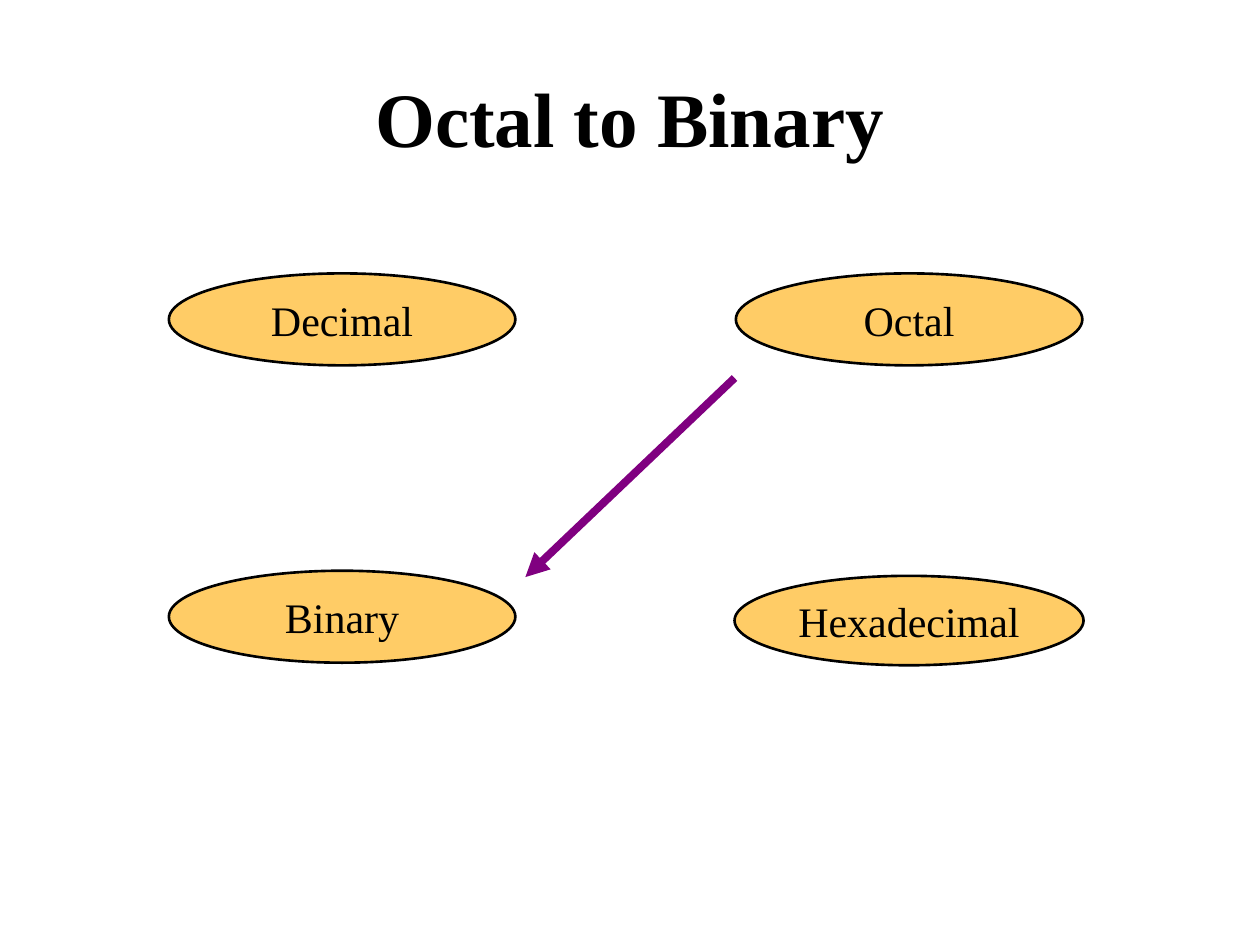
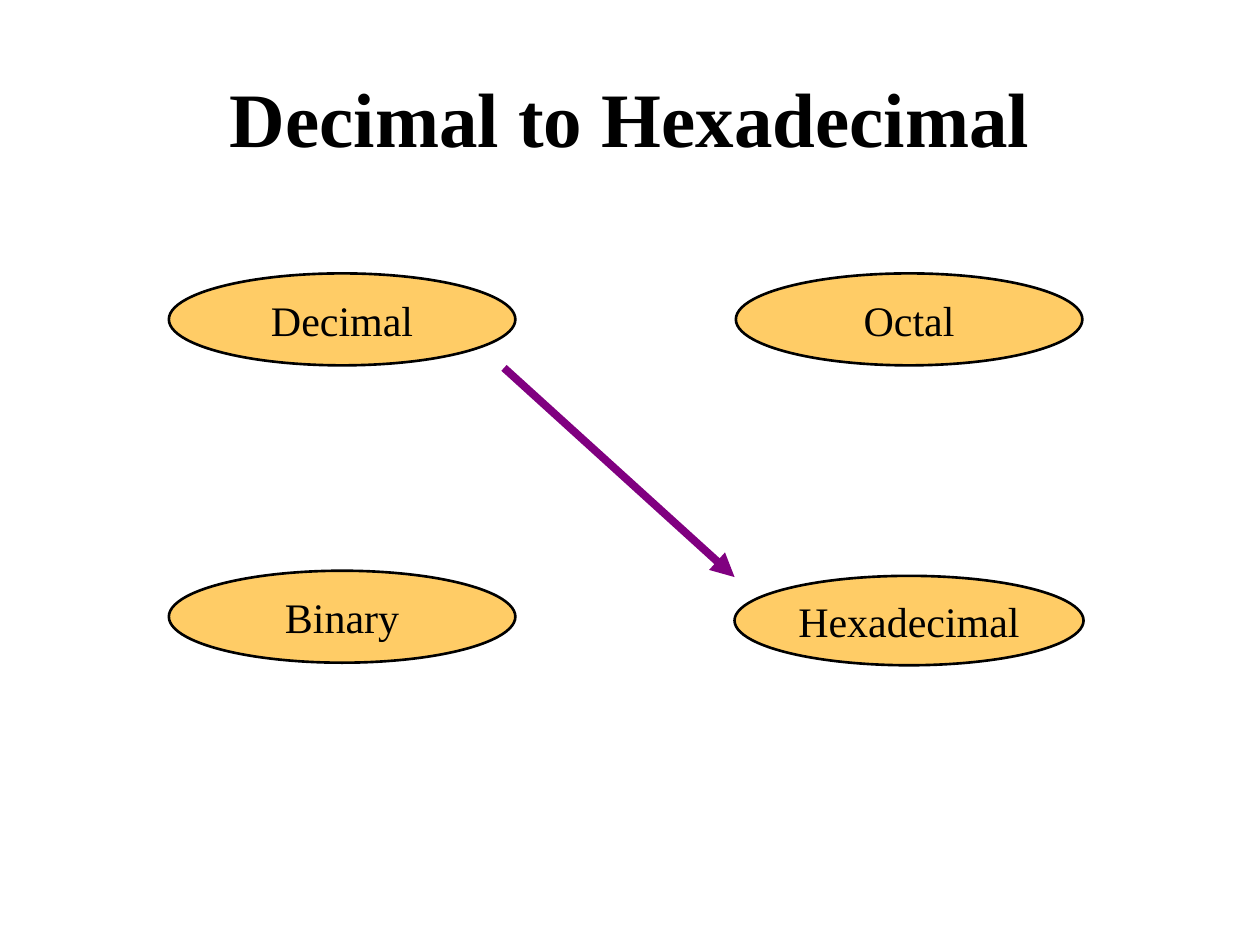
"""Build two slides that show conversions between number systems."""
from lxml.etree import SubElement
from pptx import Presentation
from pptx.dml.color import RGBColor
from pptx.enum.shapes import MSO_CONNECTOR, MSO_SHAPE
from pptx.enum.text import MSO_ANCHOR, PP_ALIGN
from pptx.oxml.ns import qn
from pptx.util import Inches, Pt

CONVERSIONS = [
    {"title": "Octal to Binary", "start": (5.83, 3), "end": (4.17, 4.58)},
    {"title": "Decimal to Hexadecimal", "start": (4, 2.92), "end": (5.83, 4.58)},
]
NUMBER_SYSTEMS = {
    "Hexadecimal": (5.83, 4.57, 2.77, 0.71),
    "Decimal": (1.34, 2.17, 2.75, 0.73),
    "Octal": (5.84, 2.17, 2.75, 0.73),
    "Binary": (1.34, 4.53, 2.75, 0.73),
}
TITLE_BOX = (0.5, 0.3, 9, 1.25)
BLACK, AMBER, PURPLE = "000000", "FFCC66", "800080"
TITLE_FONT = {"name": "Times New Roman", "size": Pt(44), "bold": True}
LABEL_FONT = {"name": "Times New Roman", "size": Pt(24), "bold": False}


def color(hex_value):
    return RGBColor.from_string(hex_value)


def write_text(shape, text, font_format, wrap):
    frame = shape.text_frame
    frame.word_wrap = wrap
    frame.vertical_anchor = MSO_ANCHOR.MIDDLE
    paragraph = frame.paragraphs[0]
    paragraph.alignment = PP_ALIGN.CENTER
    run = paragraph.add_run()
    run.text = text
    for name, value in font_format.items():
        setattr(run.font, name, value)
    run.font.color.rgb = color(BLACK)


def style_line(line, hex_value, width):
    line.color.rgb = color(hex_value)
    line.width = Pt(width)


def add_title(slide, text):
    title = slide.shapes.add_textbox(*map(Inches, TITLE_BOX))
    write_text(title, text, TITLE_FONT, True)


def add_number_system(slide, name, box):
    ellipse = slide.shapes.add_shape(MSO_SHAPE.OVAL, *map(Inches, box))
    ellipse.shadow.inherit = False
    ellipse.fill.solid()
    ellipse.fill.fore_color.rgb = color(AMBER)
    style_line(ellipse.line, BLACK, 1.5)
    write_text(ellipse, name, LABEL_FONT, False)


def add_arrow(slide, start, end):
    arrow = slide.shapes.add_connector(
        MSO_CONNECTOR.STRAIGHT, *map(Inches, start + end))
    style_line(arrow.line, PURPLE, 4.5)
    properties = arrow.element.spPr
    SubElement(properties.find(qn("a:ln")), qn("a:tailEnd"), type="triangle")
    SubElement(properties, qn("a:effectLst"))


def main():
    presentation = Presentation()
    presentation.slide_width = Inches(10)
    presentation.slide_height = Inches(7.5)
    for conversion in CONVERSIONS:
        slide = presentation.slides.add_slide(presentation.slide_layouts[6])
        add_title(slide, conversion["title"])
        for name, box in NUMBER_SYSTEMS.items():
            add_number_system(slide, name, box)
        add_arrow(slide, conversion["start"], conversion["end"])
    presentation.save("out.pptx")


if __name__ == "__main__":
    main()
